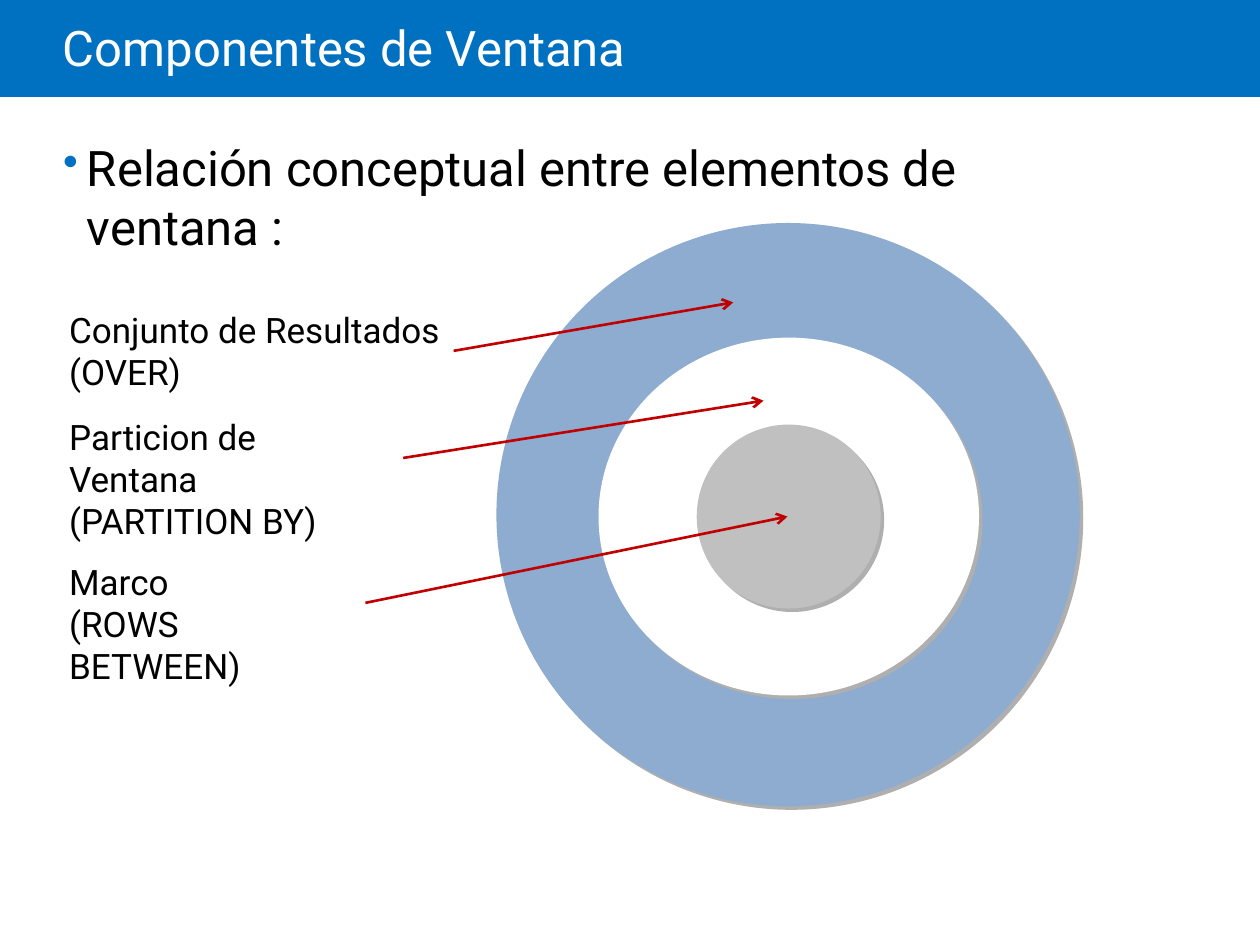
from lxml.etree import SubElement
from pptx import Presentation
from pptx.dml.color import RGBColor
from pptx.enum.shapes import MSO_CONNECTOR, MSO_SHAPE
from pptx.enum.text import MSO_ANCHOR
from pptx.oxml.ns import qn
from pptx.util import Inches, Pt

COLORS = {
    "blue": "0070C0",
    "ring": "8DACD0",
    "white": "FFFFFF",
    "core": "C0C0C0",
    "shadow": "AFAFAF",
    "text": "000000",
    "arrow": "C00000",
}
FONT = "Roboto"
RIGHT_SIDE = 3

# Left, top, width, height and fill, from the outside in
RINGS = [
    (3.94, 1.77, 4.63, 4.63, "ring"),
    (4.75, 2.68, 3.02, 2.84, "white"),
    (5.53, 3.37, 1.46, 1.46, "core"),
]
# Lines of text, top, width, and the point its arrow reaches
LABELS = [
    (["Conjunto de Resultados", "(OVER)"], 2.4, 3.15, (5.82, 2.4)),
    (["Particion de Ventana", "(PARTITION BY)"], 3.25, 2.75, (6.06, 3.18)),
    (["Marco\v(ROWS BETWEEN)"], 4.4, 2.45, (6.25, 4.1)),
]


def color(name):
    return RGBColor.from_string(COLORS[name])


def set_attributes(target, values):
    for name, value in values.items():
        setattr(target, name, value)


def add_filled_shape(slide, kind, box, fill):
    shape = slide.shapes.add_shape(kind, *map(Inches, box))
    shape.shadow.inherit = False
    shape.fill.solid()
    shape.fill.fore_color.rgb = color(fill)
    shape.line.fill.background()
    return shape


def add_hard_shadow(shape):
    effects = shape._element.spPr.find(qn("a:effectLst"))
    shadow = SubElement(effects, qn("a:outerShdw"), blurRad="0", dist=str(Pt(2.8)),
                        dir=str(45 * 60000), algn="ctr", rotWithShape="0")
    SubElement(shadow, qn("a:srgbClr"), val=COLORS["shadow"])


def add_text(slide, box, lines, size, fill="text", **frame_format):
    shape = slide.shapes.add_textbox(*map(Inches, box))
    frame = shape.text_frame
    set_attributes(frame, {"word_wrap": True, **frame_format})
    frame.text = "\n".join(lines)
    for paragraph in frame.paragraphs:
        set_attributes(paragraph.font, {"size": Pt(size), "name": FONT})
        paragraph.font.color.rgb = color(fill)
        for run in paragraph.runs:
            set_attributes(run.font, {"size": Pt(size), "name": FONT})
            run.font.color.rgb = color(fill)
    return shape


def add_bullet(paragraph):
    properties = paragraph._p.get_or_add_pPr()
    properties.set("marL", str(Inches(0.19)))
    properties.set("indent", str(-Inches(0.19)))
    paragraph.space_before = Pt(6)
    bullet_color = SubElement(properties, qn("a:buClr"))
    SubElement(bullet_color, qn("a:srgbClr"), val=COLORS["blue"])
    SubElement(properties, qn("a:buSzPct"), val="90000")
    SubElement(properties, qn("a:buChar"), char="•")


def add_arrow(slide, label, target):
    end = [Inches(value) for value in target]
    arrow = slide.shapes.add_connector(MSO_CONNECTOR.STRAIGHT, 0, 0, *end)
    arrow.begin_connect(label, RIGHT_SIDE)
    arrow.line.width = Pt(1.5)
    arrow.line.color.rgb = color("arrow")
    SubElement(arrow.line._get_or_add_ln(), qn("a:tailEnd"), type="arrow")
    SubElement(arrow._element.spPr, qn("a:effectLst"))


def main():
    presentation = Presentation()
    set_attributes(presentation, {"slide_width": Inches(10), "slide_height": Inches(7.5)})
    slide = presentation.slides.add_slide(presentation.slide_layouts[6])

    # Title band
    add_filled_shape(slide, MSO_SHAPE.RECTANGLE, (0, 0, 10, 0.77), "blue")
    title = add_text(slide, (0.5, 0, 8.5, 0.81), ["Componentes de Ventana"], 28, "white",
                     margin_left=0, vertical_anchor=MSO_ANCHOR.MIDDLE)
    title.text_frame.paragraphs[0].line_spacing = 0.85

    # Nested window elements
    for *box, fill in RINGS:
        add_hard_shadow(add_filled_shape(slide, MSO_SHAPE.OVAL, box, fill))

    # Bulleted statement
    statement = add_text(slide, (0.5, 1.09, 8.48, 4.8),
                         ["Relación conceptual entre elementos de ventana :"], 28,
                         margin_left=0, margin_top=0, margin_right=0, margin_bottom=0)
    add_bullet(statement.text_frame.paragraphs[0])

    # Labels, then their arrows
    labels = [add_text(slide, (0.45, top, width, 0.77), lines, 20)
              for lines, top, width, _ in LABELS]
    for label, (*_, target) in zip(labels, LABELS):
        add_arrow(slide, label, target)

    presentation.save("out.pptx")


if __name__ == "__main__":
    main()
